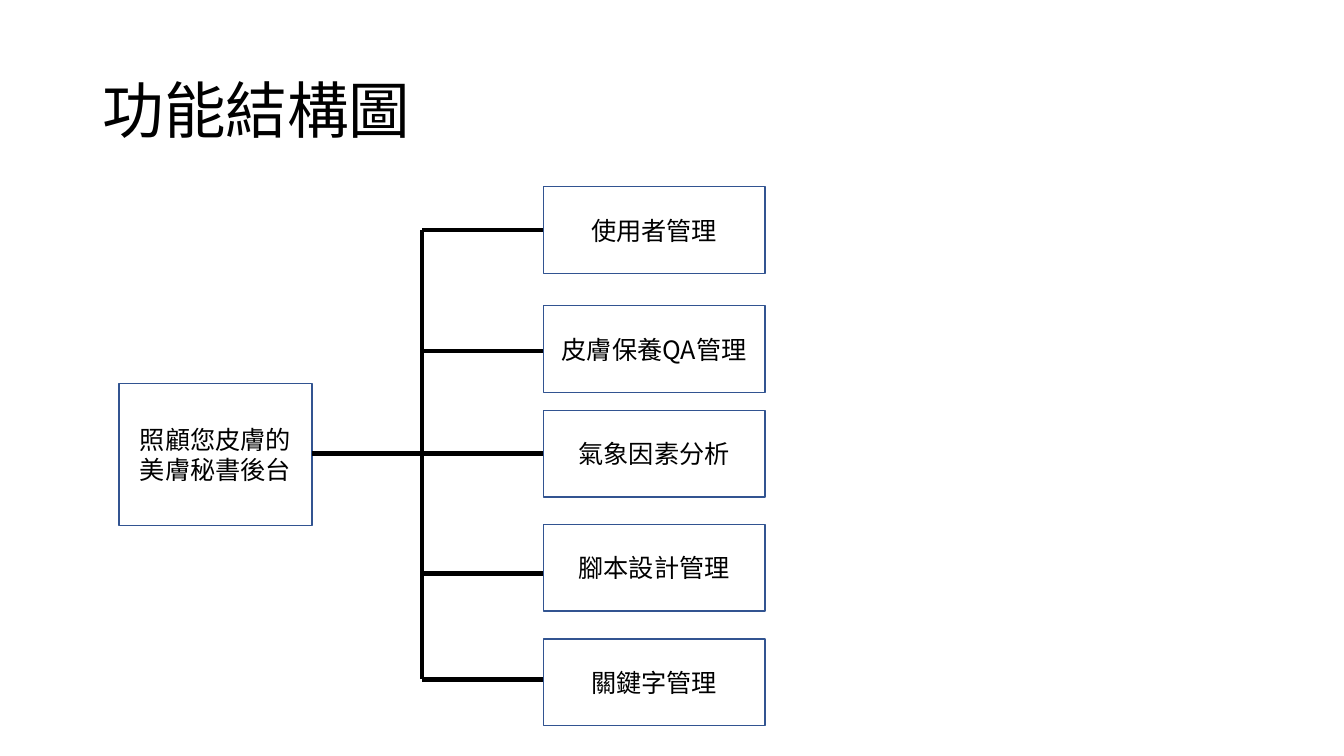
from lxml.etree import SubElement
from pptx import Presentation
from pptx.dml.color import RGBColor
from pptx.enum.shapes import MSO_CONNECTOR, MSO_SHAPE
from pptx.enum.text import MSO_ANCHOR as Anchor, MSO_AUTO_SIZE, PP_ALIGN as Align
from pptx.oxml.ns import qn
from pptx.util import Cm, Pt

BLACK = RGBColor(0x00, 0x00, 0x00)
BORDER_BLUE = RGBColor(0x32, 0x54, 0x91)
LATIN_FONT = "Calibri"
CHINESE_FONT = "Noto Sans CJK SC"

SYSTEM = "照顧您皮膚的美膚秘書後台"
FUNCTIONS = [
    ("使用者管理", 4.7, 5.79),
    ("皮膚保養QA管理", 7.7, 8.84),
    ("氣象因素分析", 10.34, 11.43),
    ("腳本設計管理", 13.21, 14.45),
    ("關鍵字管理", 16.1, 17.12),
]
SYSTEM_LEFT, SYSTEM_WIDTH = 3.0, 4.86
TRUNK_X, FUNCTION_LEFT = 10.64, 13.69


def write(frame, wording, size, latin, align):
    """Put one formatted run into a text frame, centred vertically."""
    frame.word_wrap = True
    frame.vertical_anchor = Anchor.MIDDLE
    paragraph = frame.paragraphs[0]
    paragraph.alignment = align
    run = paragraph.add_run()
    run.text = wording
    run.font.size = Pt(size)
    run.font.name = latin
    run.font.color.rgb = BLACK
    SubElement(run.font._element, qn("a:ea")).set("typeface", CHINESE_FONT)
    return paragraph


def add_title(slide, wording):
    """Place and fill the title placeholder."""
    title = slide.shapes.title
    title.left, title.top = Cm(2.33), Cm(1.01)
    title.width, title.height = Cm(29.21), Cm(3.68)
    title.text_frame.auto_size = MSO_AUTO_SIZE.NONE
    write(title.text_frame, wording, 44, LATIN_FONT, Align.LEFT).line_spacing = 0.9


def add_box(diagram, wording, left, top, width, height):
    """Draw an outlined box with centred text."""
    box = diagram.shapes.add_shape(
        MSO_SHAPE.RECTANGLE, Cm(left), Cm(top), Cm(width), Cm(height)
    )
    box.shadow.inherit = False
    box.fill.background()
    box.line.color.rgb = BORDER_BLUE
    box.line.width = Pt(1)
    write(box.text_frame, wording, 18, CHINESE_FONT, Align.CENTER)


def add_branch(diagram, x1, y1, x2, y2):
    """Draw a thick black line of the tree."""
    branch = diagram.shapes.add_connector(
        MSO_CONNECTOR.STRAIGHT, Cm(x1), Cm(y1), Cm(x2), Cm(y2)
    )
    branch.line.color.rgb = BLACK
    branch.line.width = Pt(3)
    SubElement(branch._element.spPr, qn("a:effectLst"))


def main():
    """Build the function structure slide."""
    deck = Presentation()
    deck.slide_width, deck.slide_height = Cm(33.87), Cm(19.05)
    slide = deck.slides.add_slide(deck.slide_layouts[5])
    add_title(slide, "功能結構圖")

    diagram = slide.shapes.add_group_shape()
    add_box(diagram, SYSTEM, SYSTEM_LEFT, 9.66, SYSTEM_WIDTH, 3.58)
    branch_levels = [level for _, _, level in FUNCTIONS]
    middle = branch_levels[len(branch_levels) // 2]
    for wording, top, level in FUNCTIONS:
        add_box(diagram, wording, FUNCTION_LEFT, top, 5.59, 2.19)
        start = SYSTEM_LEFT + SYSTEM_WIDTH if level == middle else TRUNK_X
        add_branch(diagram, start, level, FUNCTION_LEFT, level)
    add_branch(diagram, TRUNK_X, branch_levels[0], TRUNK_X, branch_levels[-1])

    deck.save("out.pptx")


if __name__ == "__main__":
    main()
